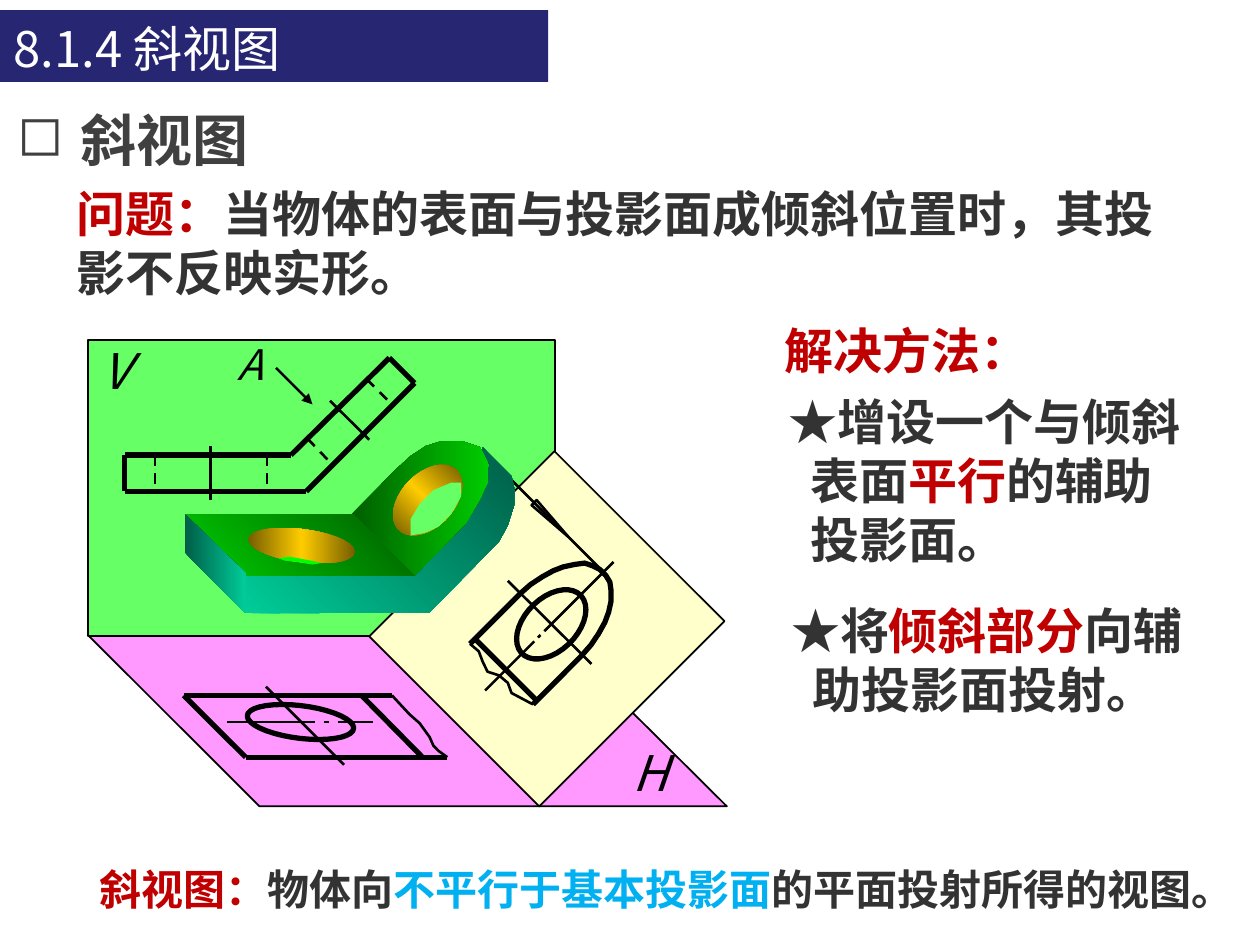
from copy import deepcopy
from math import cos, sin, radians
from lxml.etree import SubElement
from pptx import Presentation
from pptx.dml.color import RGBColor
from pptx.enum.dml import MSO_LINE
from pptx.enum.shapes import MSO_CONNECTOR, MSO_SHAPE
from pptx.enum.text import MSO_ANCHOR as ANCHOR, PP_ALIGN as ALIGN
from pptx.oxml.ns import qn
from pptx.util import Pt

color = RGBColor.from_string
FONT = "Noto Sans CJK SC"
RED, DARK, BLUE, BLACK = "C00000", "333333", "00B0F0", "000000"
GREENS = ("00CC00", "005E00")
TEALS = ("00CC99", "005E47")
GOLDS = ("765E00", "FFCC00", "765E00")

presentation = Presentation()
presentation.slide_width, presentation.slide_height = Pt(720), Pt(540)
slide = presentation.slides.add_slide(presentation.slide_layouts[5])
shapes = slide.shapes


def draw(points, width=0, fill=None, angle=0, closed=False):
    corners = [(Pt(x), Pt(y)) for x, y in points]
    if len(corners) == 2:
        shape = shapes.add_connector(MSO_CONNECTOR.STRAIGHT, *corners[0], *corners[1])
        SubElement(shape._element.spPr, qn("a:effectLst"))
    else:
        builder = shapes.build_freeform(*corners[0])
        builder.add_line_segments(corners[1:], close=closed)
        shape = builder.convert_to_shape()
        shape.shadow.inherit = False
        if fill is None:
            shape.fill.background()
        elif isinstance(fill, str):
            shape.fill.solid()
            shape.fill.fore_color.rgb = color(fill)
        else:
            shape.fill.gradient()
            shape.fill.gradient_angle = angle
            stop_list = shape._element.spPr.find(".//" + qn("a:gsLst"))
            if len(fill) == 3:
                stop_list.append(deepcopy(stop_list[0]))
            for index, stop in enumerate(shape.fill.gradient_stops):
                stop.position = index / (len(fill) - 1)
                stop.color.rgb = color(fill[index])
    if width:
        shape.line.width = Pt(width)
        shape.line.color.rgb = color(BLACK)
    else:
        shape.line.fill.background()
    return shape


def ellipse(center_x, center_y, radius_x, radius_y, skew):
    turns = [radians(step) for step in range(0, 360, 10)]
    return [(center_x + radius_x * cos(turn),
             center_y + radius_y * sin(turn + radians(skew))) for turn in turns]


draw([(50.4, 363), (148.3, 460.8), (415.4, 460.8), (317, 363)], 1, "FF99FF", closed=True)
draw([(50.4, 194.4), (317.3, 194.4), (317.3, 363.3), (50.4, 363.3)], 1, "66FF66", closed=True)

top_view = [
    (105, 397.4, 140.4, 432.7, 3), (105, 397.4, 224, 397.4, 3),
    (140.4, 432.7, 255.6, 432.7, 3), (206.6, 397.4, 241.4, 432.7, 3),
    (152, 392.4, 196.6, 437, 1.5), (129.6, 412.6, 180, 412.6, 1.5),
    (185, 412.6, 188, 412.6, 1.5), (193, 412.6, 213, 412.6, 1.5),
]
front_view = [
    (71.3, 260, 166.3, 260, 3), (166.3, 260, 222.5, 204.5, 3),
    (222.5, 204.5, 236.9, 218.9, 3), (236.9, 218.9, 175, 280.8, 3),
    (175, 280.8, 71.3, 280.8, 3), (71.3, 280.8, 71.3, 260, 3),
    (188.6, 229, 211, 251.3, 1.5), (120.2, 285.8, 120.2, 254.9, 1.5),
]
for x1, y1, x2, y2, width in top_view + front_view:
    draw([(x1, y1), (x2, y2)], width)
draw(ellipse(171.7, 412.6, 30.4, 10, 20), 3, closed=True)
draw([(224, 397.4), (234, 408.2), (239.8, 413.3), (245.5, 421.2),
      (247.7, 426.2), (250.6, 429.1), (255.6, 432.7)], 1.5)
for x1, y1, x2, y2 in [(209.5, 216.7, 223.9, 231.1), (175.7, 250.6, 190.1, 265.7),
                       (152.6, 260, 152.6, 280.8), (88.6, 260, 88.6, 280.8)]:
    draw([(x1, y1), (x2, y2)], 1.5).line.dash_style = MSO_LINE.DASH

draw([(211, 363.6), (316.8, 257.8), (414, 355), (308.2, 460.8)], 1, "FFFFCC", closed=True)
oblique_view = [
    (278.6, 260.6, 344.9, 326.9, 1.5), (290.2, 331.9, 338, 379.4, 1.5),
    (268.6, 367.9, 297.4, 339.1, 3), (304.6, 402.5, 332.6, 374.4, 3),
    (271.4, 365, 306.7, 400.3, 3), (277.2, 394.6, 305.3, 366.5, 1.5),
    (307.4, 364.3, 308.9, 362.9, 1.5), (311, 360.7, 350.6, 321.1, 1.5),
]
for x1, y1, x2, y2, width in oblique_view:
    draw([(x1, y1), (x2, y2)], width)
draw([(324.7, 306.7), (306.7, 285.8), (303.8, 288.7)], 1.5, closed=True)
draw([(332.6, 374.4), (337.7, 368.6), (342, 362.2), (345.6, 355.7), (347.8, 349.9),
      (349.2, 343.4), (349.2, 337.7), (348.5, 332.6), (346.3, 329), (342.7, 325.4),
      (338.4, 323.3), (334.1, 321.8), (328.3, 322.6), (321.8, 324), (316.1, 326.2),
      (309.6, 329.8), (303.1, 334.1), (297.4, 339.1)], 3)
draw(ellipse(315, 356.8, 19.8, 19.8, -25), 3, closed=True)
draw([(268.6, 367.9), (273.6, 372.2), (275.8, 378), (278.6, 383.8),
      (285.1, 385.9), (290.2, 390.2), (292.3, 396), (304.6, 402.5)], 1.5)

view_arrow = draw([(157.7, 210.2), (178.6, 231.1)], 1.5)
SubElement(view_arrow.line._get_or_add_ln(), qn("a:tailEnd"), type="triangle")

solid_faces = [
    (TEALS, 45, [(139.7, 326.9), (139.7, 350.6), (245.5, 349.9), (285.1, 309.6),
                 (290.2, 300.2), (293.8, 288.7), (293.8, 278.6), (292.3, 272.2),
                 (275.8, 255.6), (272.9, 265), (278.6, 272.2), (276.5, 278.6),
                 (271.4, 286.6), (267.8, 295.9), (235.4, 327.6)]),
    (GREENS[::-1], 0, [(200.9, 293.8), (226.8, 267.8), (234.7, 260.6), (243.4, 254.9),
                       (252.7, 252), (263.5, 252), (274.3, 255.6), (279.4, 265.7),
                       (278.6, 275.8), (274.3, 285.1), (269.3, 293.8), (266.4, 298.8),
                       (236.9, 329)]),
    (GREENS, 45, [(105.8, 293.8), (201.6, 293.8), (236.9, 329), (139.7, 329)]),
    (GOLDS, 0, ellipse(172.4, 311.8, 30.6, 10.1, 20)),
    (GOLDS, 45, ellipse(244.4, 285.8, 19.8, 20.2, -25)),
    ("00FF00", 0, [(159.1, 319), (165.6, 318.2), (170.6, 319), (177.8, 320.4), (183.6, 321.8),
                   (178.6, 322.6), (173.5, 321.8), (169.2, 321.1), (162.7, 320.4)]),
    ("66FF66", 0, [(263.5, 275.8), (257.8, 275.8), (247.7, 280.1), (239.8, 288),
                   (234.7, 296.6), (234.7, 306), (242.6, 304.6), (250.6, 301),
                   (257.8, 293.8), (263.5, 283.7)]),
    (TEALS[::-1], 0, [(105.8, 293.8), (140.4, 327.6), (140.4, 350.6), (105.8, 316.1)]),
]
for fill, angle, points in solid_faces:
    draw(points, 0, fill, angle, closed=True)

title = shapes.title
bar = shapes.add_shape(MSO_SHAPE.RECTANGLE, Pt(0), Pt(5.8), Pt(313.2), Pt(41))
bar.shadow.inherit = False
bar.fill.solid()
bar.fill.fore_color.rgb = color("262673")
bar.line.fill.background()
title._element.addprevious(bar._element)

bold, italic = {"bold": True}, {"italic": True}
left, center = ALIGN.LEFT, ALIGN.CENTER
top, middle, bottom = ANCHOR.TOP, ANCHOR.MIDDLE, ANCHOR.BOTTOM
texts = [
    (title, (0.7, 5.8, 311.8, 41.8), 28, {"bold": False}, left, bottom,
     [(0, [("8.1.4 斜视图", "FFFFFF")])]),
    (None, (2.9, 56.9, 686.9, 48.2), 32, bold, left, top, [(36, [("斜视图", "404040")])]),
    (None, (36.7, 101.5, 635, 74.9), 28, bold, left, top,
     [(0, [("问题：", RED), ("当物体的表面与投影面成倾斜位置时，其投影不反映实形。", DARK)])]),
    (None, (443.5, 220.3, 250.6, 108.7), 28, bold, left, top,
     [(0, [("★增设一个与倾斜", DARK)]),
      (12.5, [("表面", DARK), ("平行", RED), ("的辅助", DARK)]),
      (12.5, [("投影面。", DARK)])]),
    (None, (441.4, 179.3, 157, 41), 28, bold, left, middle, [(0, [("解决方法：", RED)])]),
    (None, (445, 339.8, 249.8, 108.7), 28, bold, left, top,
     [(0, [("★将", DARK), ("倾斜部分", RED), ("向辅", DARK)]),
      (12.5, [("助投影面投射。", DARK)])]),
    (None, (49.7, 489.6, 663.1, 36), 24, bold, left, middle,
     [(0, [("斜视图：", RED), ("物体向", DARK), ("不平行于基本投影面", BLUE),
           ("的平面投射所得的视图。", DARK)])]),
    (None, (51.1, 190.8, 28.8, 41), 28, italic, center, middle, [(0, [("V", BLACK)])]),
    (None, (354.2, 420.5, 28.8, 41), 28, italic, center, middle, [(0, [("H", BLACK)])]),
    (None, (128.9, 190.1, 26.6, 36), 24, italic, center, middle, [(0, [("A", BLACK)])]),
]
for shape, box, size, style, alignment, anchor, paragraphs in texts:
    shape = shape or shapes.add_textbox(0, 0, 0, 0)
    for name, value in zip(("left", "top", "width", "height"), box):
        setattr(shape, name, Pt(value))
    frame = shape.text_frame
    frame.word_wrap = alignment == left
    frame.vertical_anchor = anchor
    for index, (indent, runs) in enumerate(paragraphs):
        paragraph = frame.add_paragraph() if index else frame.paragraphs[0]
        paragraph.alignment = alignment
        paragraph.line_spacing = Pt(size * 1.2)
        properties = paragraph._p.get_or_add_pPr()
        properties.set("marL", str(Pt(indent)))
        if size == 32:
            paragraph.space_before = Pt(6.4)
            properties.set("indent", str(-Pt(indent)))
            SubElement(properties, qn("a:buChar"), char="◻")
        for words, hue in runs:
            run = paragraph.add_run()
            run.text = words
            for name, value in {"name": FONT, "size": Pt(size), **style}.items():
                setattr(run.font, name, value)
            run.font.color.rgb = color(hue)
            SubElement(run._r.get_or_add_rPr(), qn("a:ea"), typeface=FONT)

presentation.save("out.pptx")
